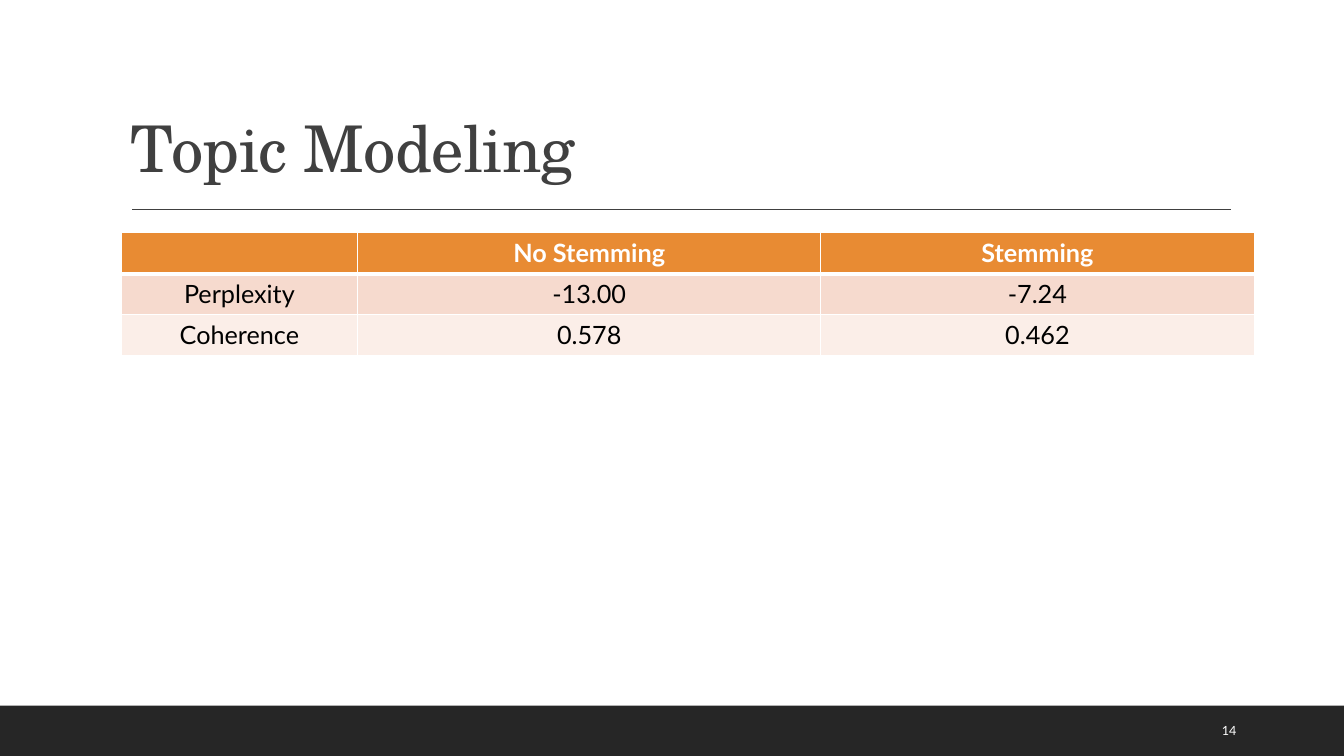
from lxml.etree import SubElement
from pptx import Presentation
from pptx.dml.color import RGBColor as Rgb
from pptx.enum.shapes import MSO_CONNECTOR as Connector, MSO_SHAPE as Preset
from pptx.enum.text import MSO_ANCHOR as Anchor, PP_ALIGN as Align
from pptx.oxml.ns import qn
from pptx.util import Inches, Pt

COLORS = {
    "ink": "404040",
    "footer": "262626",
    "white": "FFFFFF",
    "black": "000000",
    "header": "E88B33",
    "odd": "F6DACE",
    "even": "FBEEE8",
}
HEADING, BODY = "TeX Gyre Schola", "Lato"

METRICS = [
    ["", "No Stemming", "Stemming"],
    ["Perplexity", "-13.00", "-7.24"],
    ["Coherence", "0.578", "0.462"],
]


def rgb(name):
    return Rgb.from_string(COLORS[name])


def write(frame, text, size=18, color="black", font=BODY, bold=False,
          align=Align.LEFT, spacing=None, tracking=None):
    paragraph = frame.paragraphs[0]
    paragraph.alignment = align
    paragraph.line_spacing = spacing
    paragraph.font.size = Pt(size)
    if not text:
        return
    run = paragraph.add_run()
    run.text = text
    run.font.size = Pt(size)
    run.font.name = font
    run.font.bold = bold
    run.font.color.rgb = rgb(color)
    if tracking is not None:
        run.font._element.set("spc", str(int(tracking * 100)))


class SlideBuilder:
    """Places elements by percent of the slide's width and height."""

    def __init__(self, deck):
        self.width, self.height = deck.slide_width, deck.slide_height
        self.slide = deck.slides.add_slide(deck.slide_layouts[6])
        self.shapes = self.slide.shapes

    def x(self, percent):
        return round(self.width * percent / 100)

    def y(self, percent):
        return round(self.height * percent / 100)

    def box(self, left, top, width, height):
        return self.x(left), self.y(top), self.x(width), self.y(height)

    def band(self, *place, fill):
        band = self.shapes.add_shape(Preset.RECTANGLE, *self.box(*place))
        band.shadow.inherit = False
        band.fill.solid()
        band.fill.fore_color.rgb = rgb(fill)
        band.line.fill.background()

    def rule(self, left, right, top, color, weight=1):
        rule = self.shapes.add_connector(
            Connector.STRAIGHT, self.x(left), self.y(top), self.x(right), self.y(top))
        rule.line.color.rgb = rgb(color)
        rule.line.width = Pt(weight)
        SubElement(rule._element.spPr, qn("a:effectLst"))

    def text(self, *place, text, anchor, **style):
        frame = self.shapes.add_textbox(*self.box(*place)).text_frame
        frame.word_wrap = True
        frame.vertical_anchor = anchor
        write(frame, text, **style)

    def border(self, cell, **weights):
        properties = cell._tc.get_or_add_tcPr()
        for side in "LRTB":
            width = Pt(weights.get(side, 1))
            line = SubElement(properties, qn(f"a:ln{side}"), w=str(width))
            fill = SubElement(line, qn("a:solidFill"))
            SubElement(fill, qn("a:srgbClr"), val=COLORS["white"])

    def table(self, left, top, columns, row_height, rows):
        place = self.box(left, top, sum(columns), row_height * len(rows))
        table = self.shapes.add_table(len(rows), len(columns), *place).table
        for column, width in zip(table.columns, columns):
            column.width = self.x(width)
        for r, row in enumerate(rows):
            table.rows[r].height = self.y(row_height)
            header = r == 0
            shade = "header" if header else "odd" if r % 2 else "even"
            for c, value in enumerate(row):
                cell = table.cell(r, c)
                self.border(cell, T=3 if r == 1 else 1, B=3 if header else 1)
                cell.fill.solid()
                cell.fill.fore_color.rgb = rgb(shade)
                write(cell.text_frame, value, bold=header, align=Align.CENTER,
                      color="white" if header else "black")


def main():
    deck = Presentation()
    deck.slide_width, deck.slide_height = Inches(13.33), Inches(7.5)
    page = SlideBuilder(deck)
    page.band(0, 93.33, 100, 6.67, fill="footer")
    page.rule(9.83, 91.6, 27.73, color="ink")
    page.text(9, 4.13, 82.52, 21.2, text="Topic Modeling", anchor=Anchor.BOTTOM,
              size=46, font=HEADING, color="ink", spacing=0.9, tracking=-0.5)
    page.table(9, 30.8, [17.63, 34.43, 32.26], 5.42, METRICS)
    page.text(90.17, 94, 6.38, 5.33, text="14", anchor=Anchor.MIDDLE,
              size=9, color="white")
    deck.save("out.pptx")


if __name__ == "__main__":
    main()
